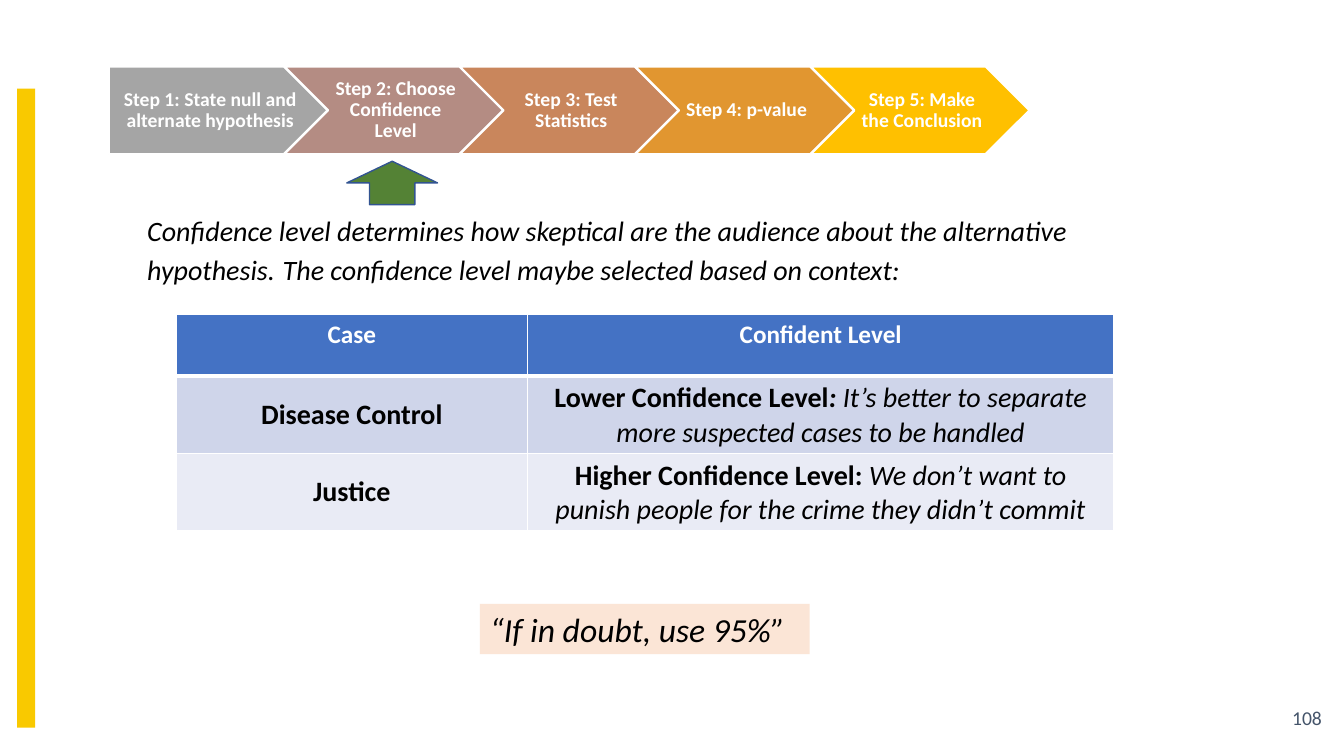
from lxml.etree import SubElement
from pptx import Presentation
from pptx.dml.color import RGBColor
from pptx.enum.shapes import MSO_SHAPE as Shape
from pptx.enum.text import MSO_ANCHOR as Anchor, MSO_AUTO_SIZE as AutoSize, PP_ALIGN as Align
from pptx.oxml.ns import qn
from pptx.util import Inches, Pt

COLORS = {
    "white": "FFFFFF", "black": "000000", "slate": "44546A",
    "sidebar": "F9C900", "header": "4472C4", "band_dark": "CFD5EA",
    "band_light": "E9EBF5", "advice": "FBE5D6", "marker": "548235",
    "marker_edge": "325491",
}
STEPS = [
    ("Step 1: State null and alternate hypothesis", "A5A5A5"),
    ("Step 2: Choose Confidence Level", "B48C83"),
    ("Step 3: Test Statistics", "C9865C"),
    ("Step 4: p-value", "E19630"),
    ("Step 5: Make the Conclusion", "FFC000"),
]
HEADINGS = ["Case", "Confident Level"]
CASES = [
    ("Disease Control", [
        ("Lower Confidence Level", True, False),
        (": ", True, True),
        ("It’s better to separate more suspected cases to be handled", False, True),
    ]),
    ("Justice", [
        ("Higher Confidence Level: ", True, False),
        ("We don’t want to punish people for the crime they didn’t commit", False, True),
    ]),
]


def rgb(value):
    return RGBColor.from_string(value)


class SlideBuilder:
    font = "Calibri"

    def __init__(self, presentation):
        self.slide = presentation.slides.add_slide(presentation.slide_layouts[5])

    def add_run(self, paragraph, text, size, color="black", bold=False, italic=False):
        run = paragraph.add_run()
        run.text = text
        font = run.font
        font.name, font.size = self.font, Pt(size)
        font.bold, font.italic = bold, italic
        font.color.rgb = rgb(COLORS[color])

    def statement(self, box, pieces):
        title = self.slide.shapes.title
        title.left, title.top, title.width, title.height = map(Inches, box)
        frame = title.text_frame
        frame.word_wrap, frame.auto_size = True, AutoSize.NONE
        frame.vertical_anchor = Anchor.TOP
        paragraph = frame.paragraphs[0]
        paragraph.alignment = Align.LEFT
        for text, size in pieces:
            self.add_run(paragraph, text, size, italic=True)

    def block(self, kind, box, fill, edge=None, edge_width=1):
        block = self.slide.shapes.add_shape(kind, *map(Inches, box))
        block.shadow.inherit = False
        block.fill.solid()
        block.fill.fore_color.rgb = rgb(fill)
        if edge:
            block.line.color.rgb = rgb(COLORS[edge])
            block.line.width = Pt(edge_width)
        else:
            block.line.fill.background()
        return block

    def step(self, kind, box, label, fill, left_inset):
        frame = self.block(kind, box, fill, "white", 1.5).text_frame
        frame.word_wrap, frame.vertical_anchor = True, Anchor.MIDDLE
        frame.margin_left, frame.margin_right = Inches(left_inset), Inches(0.02)
        frame.margin_top = frame.margin_bottom = Inches(0.04)
        paragraph = frame.paragraphs[0]
        paragraph.alignment, paragraph.line_spacing = Align.CENTER, 0.9
        self.add_run(paragraph, label, 14, "white", bold=True)

    def advice(self, box, text):
        frame = self.block(Shape.RECTANGLE, box, COLORS["advice"]).text_frame
        frame.word_wrap, frame.vertical_anchor = True, Anchor.TOP
        frame.paragraphs[0].alignment = Align.LEFT
        self.add_run(frame.paragraphs[0], text, 24, italic=True)

    def page_number(self, box, number):
        frame = self.slide.shapes.add_textbox(*map(Inches, box)).text_frame
        frame.word_wrap, frame.vertical_anchor = True, Anchor.MIDDLE
        frame.paragraphs[0].alignment = Align.RIGHT
        self.add_run(frame.paragraphs[0], number, 14, "slate")

    def cell(self, cell, pieces, size, color, fill, anchor, bottom=1, top=1):
        cell.vertical_anchor = anchor
        paragraph = cell.text_frame.paragraphs[0]
        paragraph.alignment = Align.CENTER
        for text, bold, italic in pieces:
            self.add_run(paragraph, text, size, color, bold, italic)
        properties = cell._tc.get_or_add_tcPr()
        for side, width in (("L", 1), ("R", 1), ("T", top), ("B", bottom)):
            border = SubElement(properties, qn(f"a:ln{side}"), w=str(Pt(width)))
            solid = SubElement(border, qn("a:solidFill"))
            SubElement(solid, qn("a:srgbClr"), val=COLORS["white"])
        cell.fill.solid()
        cell.fill.fore_color.rgb = rgb(COLORS[fill])

    def case_table(self, box, widths, heights):
        table = self.slide.shapes.add_table(
            len(heights), len(widths), *map(Inches, box)).table
        for column, width in zip(table.columns, widths):
            column.width = Inches(width)
        for row, height in zip(table.rows, heights):
            row.height = Inches(height)
        for column, heading in enumerate(HEADINGS):
            self.cell(table.cell(0, column), [(heading, True, False)], 18,
                      "white", "header", Anchor.TOP, bottom=3)
        for row, (case, level) in enumerate(CASES, 1):
            fill = "band_dark" if row % 2 else "band_light"
            for column, pieces in enumerate([[(case, True, False)], level]):
                self.cell(table.cell(row, column), pieces, 20, "black", fill,
                          Anchor.MIDDLE, top=3 if row == 1 else 1)


def main():
    presentation = Presentation()
    presentation.slide_width = Inches(13.33)
    presentation.slide_height = Inches(7.5)
    builder = SlideBuilder(presentation)

    builder.page_number((10.21, 6.92, 3, 0.4), "108")
    builder.statement((1.36, 2.07, 9.39, 0.84), [
        ("Confidence level determines how skeptical are the audience "
         "about the alternative hypothesis.", 20),
        (" ", 24),
        ("The confidence level maybe selected based on context:", 20),
    ])
    builder.block(Shape.RECTANGLE, (0.17, 0.88, 0.18, 6.34), COLORS["sidebar"])
    builder.case_table((1.75, 3.12, 9.3, 2.14), (3.48, 5.82), (0.61, 0.76, 0.76))
    builder.advice((4.76, 5.99, 3.27, 0.5), "“If in doubt, use 95%”")
    for index, (label, fill) in enumerate(STEPS):
        kind, inset = (Shape.CHEVRON, 0.06) if index else (Shape.PENTAGON, 0.08)
        builder.step(kind, (1.08 + 1.74 * index, 0.66, 2.17, 0.87), label, fill, inset)
    builder.block(Shape.UP_ARROW, (3.44, 1.6, 0.9, 0.43), COLORS["marker"], "marker_edge")

    presentation.save("out.pptx")


if __name__ == "__main__":
    main()
